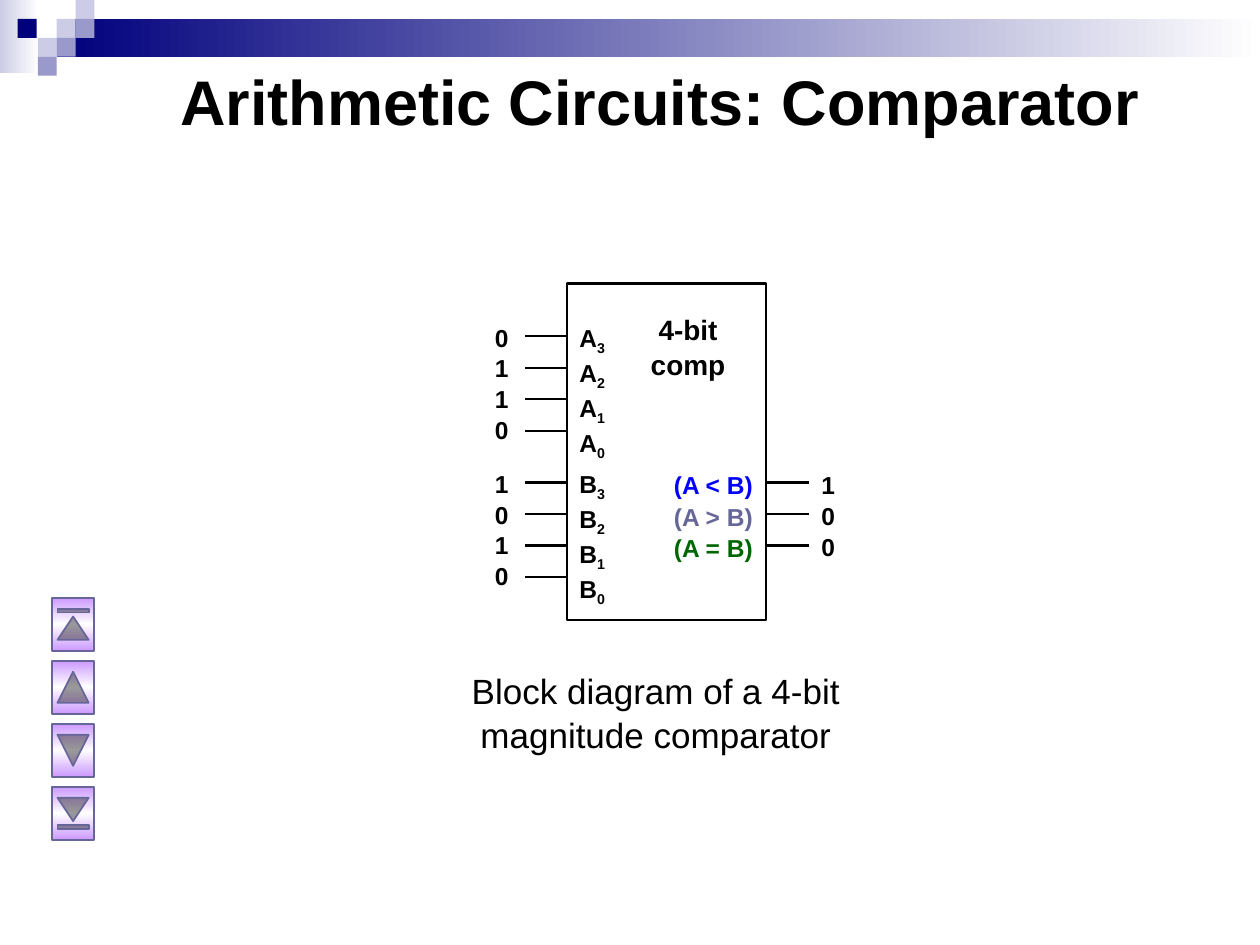
from copy import deepcopy

from lxml import etree
from pptx import Presentation
from pptx.dml.color import RGBColor
from pptx.enum.shapes import MSO_CONNECTOR, MSO_SHAPE
from pptx.enum.text import MSO_ANCHOR, MSO_AUTO_SIZE, PP_ALIGN
from pptx.oxml.ns import qn
from pptx.util import Inches, Pt

RECTANGLE = MSO_SHAPE.RECTANGLE
LEFT, CENTER = PP_ALIGN.LEFT, PP_ALIGN.CENTER
BLACK, NAVY, LAVENDER, PERIWINKLE = "000000", "00007D", "CCCCE6", "9999CC"
SLATE = "666699"
FONT = "Arial"
ROW_PITCH = 0.25
A_ROW, B_ROW = 2.67, 3.83
CHIP_LEFT, CHIP_RIGHT = 4.5, 6.08

SQUARES = [
    (0.45, 0.15, LAVENDER), (0.6, 0, LAVENDER), (0.6, 0.15, PERIWINKLE),
    (0.3, 0.3, LAVENDER), (0.14, 0.15, NAVY), (0.45, 0.3, PERIWINKLE),
    (0.3, 0.45, PERIWINKLE),
]
OUTPUTS = [("(A < B)", "0000FF"), ("(A > B)", SLATE), ("(A = B)", "006600")]
BUTTONS = [
    MSO_SHAPE.ACTION_BUTTON_BEGINNING, MSO_SHAPE.ACTION_BUTTON_BACK_OR_PREVIOUS,
    MSO_SHAPE.ACTION_BUTTON_FORWARD_OR_NEXT, MSO_SHAPE.ACTION_BUTTON_END,
]


def color(value):
    return RGBColor.from_string(value)


def set_font(font, size, value=BLACK, bold=True):
    formats = {"name": FONT, "size": Pt(size), "bold": bold}
    for name, setting in formats.items():
        setattr(font, name, setting)
    font.color.rgb = color(value)


def set_gradient(shape, colors, angle=0):
    """Fill with evenly spaced colours at an angle that ignores shape rotation."""
    shape.fill.gradient()
    shape.fill.gradient_angle = angle
    gradient = shape._element.spPr.find(qn("a:gradFill"))
    gradient.set("rotWithShape", "0")
    stop_list = gradient.find(qn("a:gsLst"))
    for _ in colors[2:]:
        stop_list.append(deepcopy(stop_list[0]))
    for index, value in enumerate(colors):
        stop = shape.fill.gradient_stops[index]
        stop.position = index / (len(colors) - 1)
        stop.color.rgb = color(value)


def add_shape(slide, kind, left, top, width, height, fill=None, line=None, line_width=1):
    shape = slide.shapes.add_shape(
        kind, Inches(left), Inches(top), Inches(width), Inches(height))
    shape.shadow.inherit = False
    if fill:
        shape.fill.solid()
        shape.fill.fore_color.rgb = color(fill)
    else:
        shape.fill.background()
    if line:
        shape.line.color.rgb = color(line)
        shape.line.width = Pt(line_width)
    else:
        shape.line.fill.background()
    return shape


def add_text(slide, lines, left, top, width, height, size=14, value=BLACK,
             bold=True, align=LEFT):
    """Write one paragraph per line; a line is text or a (letter, subscript) pair."""
    box = slide.shapes.add_textbox(
        Inches(left), Inches(top), Inches(width), Inches(height))
    frame = box.text_frame
    frame.word_wrap = True
    frame.auto_size = MSO_AUTO_SIZE.SHAPE_TO_FIT_TEXT
    for index, line in enumerate(lines):
        paragraph = frame.add_paragraph() if index else frame.paragraphs[0]
        paragraph.alignment = align
        paragraph.line_spacing = 1.05
        base, subscript = line if isinstance(line, tuple) else (line, "")
        for text, offset in ((base, None), (subscript, "-25000")):
            if text:
                run = paragraph.add_run()
                run.text = text
                set_font(run.font, size, value, bold)
                if offset:
                    run.font._element.set("baseline", offset)


def add_wires(slide, start, end, top, count):
    for row in range(count):
        y = Inches(top + row * ROW_PITCH)
        wire = slide.shapes.add_connector(
            MSO_CONNECTOR.STRAIGHT, Inches(start), y, Inches(end), y)
        wire.line.color.rgb = color(BLACK)
        wire.line.width = Pt(1.25)
        etree.SubElement(wire._element.spPr, qn("a:effectLst"))


def add_header(slide):
    fade = add_shape(slide, RECTANGLE, 0, 0, 0.31, 0.58)
    set_gradient(fade, [LAVENDER, "FFFFFF"])
    bar = add_shape(slide, RECTANGLE, 0.45, 0.15, 9.55, 0.3)
    set_gradient(bar, [NAVY, "FFFFFF"])
    for left, top, fill in SQUARES:
        add_shape(slide, RECTANGLE, left, top, 0.15, 0.15, fill)


def add_title(slide, text):
    title = slide.shapes.title
    bounds = {"left": 1.33, "top": 0.17, "width": 8.5, "height": 1.25}
    for name, length in bounds.items():
        setattr(title, name, Inches(length))
    title.text_frame.text = text
    title.text_frame.vertical_anchor = MSO_ANCHOR.MIDDLE
    paragraph = title.text_frame.paragraphs[0]
    paragraph.alignment = LEFT
    set_font(paragraph.runs[0].font, 36)
    # The title lies in front of the header bar.
    title._element.getparent().append(title._element)


def add_input(slide, letter, bits, first_row):
    """Add a four-bit input with its pin names, wires and bit values."""
    top = round(first_row - 0.17, 2)
    pins = [(letter, str(number)) for number in (3, 2, 1, 0)]
    add_text(slide, pins, CHIP_LEFT, top, 0.48, 1.16)
    add_wires(slide, 4.17, CHIP_LEFT, first_row, len(bits))
    add_text(slide, bits, 3.83, top, 0.48, 1.04)


def add_comparator(slide):
    add_shape(slide, RECTANGLE, CHIP_LEFT, 2.25, 1.58, 2.67, line=BLACK, line_width=1.5)
    add_text(slide, ["4-bit comp"], 4.92, 2.42, 1.08, 0.64, size=16, align=CENTER)
    add_input(slide, "A", "0110", A_ROW)
    add_input(slide, "B", "1010", B_ROW)
    for row, (label, value) in enumerate(OUTPUTS):
        add_text(slide, [label], 5.25, 3.67 + row * ROW_PITCH, 0.92, 0.34, value=value)
    add_wires(slide, CHIP_RIGHT, 6.42, B_ROW, len(OUTPUTS))
    add_text(slide, "100", 6.42, 3.67, 0.48, 0.8)


def add_navigation(slide):
    for row, kind in enumerate(BUTTONS):
        button = add_shape(slide, kind, 0.37, 4.79 + row * 0.5, 0.42, 0.33, line=SLATE)
        set_gradient(button, ["CC99FF", "FFFFFF", "CC99FF"], angle=90)
        button.rotation = 90


def main():
    presentation = Presentation()
    presentation.slide_width = Inches(10)
    presentation.slide_height = Inches(7.5)
    slide = presentation.slides.add_slide(presentation.slide_layouts[5])
    add_header(slide)
    add_title(slide, "Arithmetic Circuits: Comparator")
    add_comparator(slide)
    add_text(slide, ["Block diagram of a 4-bit magnitude comparator"],
             3.58, 5.25, 3.25, 0.77, size=20, bold=False, align=CENTER)
    add_navigation(slide)
    presentation.save("out.pptx")


if __name__ == "__main__":
    main()
